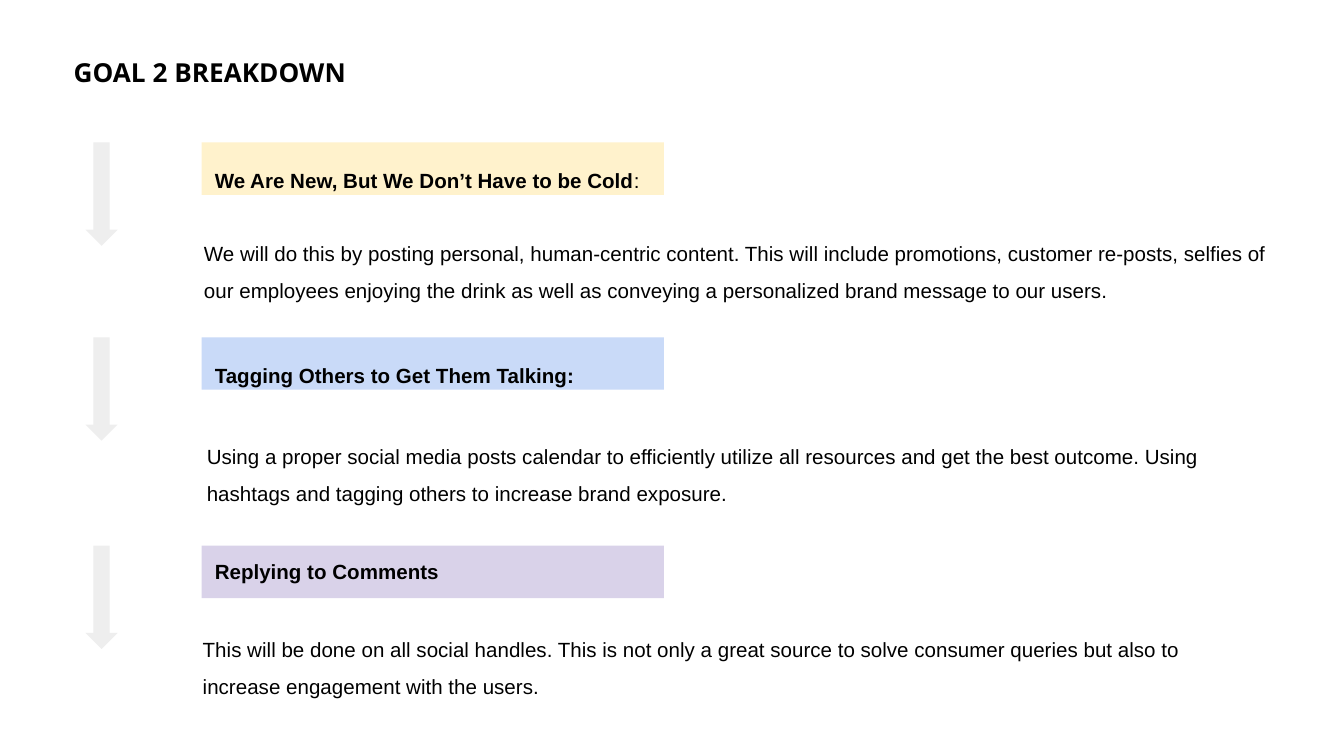
"""Build the Goal 2 breakdown slide: three steps with arrows, headings and text."""
import pptx
import pptx.util
import pptx.dml.color
import pptx.enum.shapes
import pptx.enum.text

Pt = pptx.util.Pt
RGB = pptx.dml.color.RGBColor.from_string
KIND = pptx.enum.shapes.MSO_SHAPE

THEME = {
    "ink": "000000",
    "arrow": "EEEEEE",
    "title": {"name": "Open Sans", "size": Pt(14), "bold": True},
    "head": {"name": "Arial", "size": Pt(11), "bold": True},
    "body": {"name": "Arial", "size": Pt(11), "bold": False},
}
TITLE = "GOAL 2 BREAKDOWN"
STEPS = [
    {"top": 76.3, "fill": "FFF2CC", "lead": 1.5,
     "head": [("We Are New, But We Don’t Have to be Cold", "head"), (":", "body")],
     "body": "We will do this by posting personal, human-centric content. This will include "
             "promotions, customer re-posts, selfies of our employees enjoying the drink as well "
             "as conveying a personalized brand message to our users.",
     "area": (102.2, 115.2, 597.6, 48.2)},
    {"top": 180.7, "fill": "C9DAF8", "lead": 1.5,
     "head": [("Tagging Others to Get Them Talking:", "head")],
     "body": "Using a proper social media posts calendar to efficiently utilize all resources "
             "and get the best outcome. Using hashtags and tagging others to increase brand "
             "exposure.",
     "area": (103.7, 223.9, 577.4, 108.7)},
    {"top": 292.3, "fill": "D9D2E9", "lead": 1,
     "head": [("Replying to Comments", "head")],
     "body": "This will be done on all social handles. This is not only a great source to solve "
             "consumer queries but also to increase engagement with the users.",
     "area": (101.5, 327.6, 582.5, 48.2)},
]
LEFT, WIDE, HIGH = 108, 247.7, 28.1
MID, LONG, THICK = 54.4, 55.4, 17.3


def write(shape, runs, lead=1):
    frame = shape.text_frame
    form = {"word_wrap": True, "vertical_anchor": pptx.enum.text.MSO_ANCHOR.TOP}
    form.update({"margin_" + side: Pt(7.2) for side in ("left", "top", "right", "bottom")})
    for key, value in form.items():
        setattr(frame, key, value)
    para = frame.paragraphs[0]
    para.alignment = pptx.enum.text.PP_ALIGN.LEFT
    para.line_spacing = float(lead)
    for text, style in runs:
        run = para.add_run()
        run.text = text
        run.font.color.rgb = RGB(THEME["ink"])
        for key, value in THEME[style].items():
            setattr(run.font, key, value)


def label(slide, area, text, style, lead=1):
    box = slide.shapes.add_textbox(*map(Pt, area))
    write(box, [(text, style)], lead)


def block(slide, kind, area, fill):
    shape = slide.shapes.add_shape(kind, *map(Pt, area))
    shape.shadow.inherit = False
    shape.fill.solid()
    shape.fill.fore_color.rgb = RGB(fill)
    shape.line.fill.background()
    return shape


def main():
    deck = pptx.Presentation()
    deck.slide_width, deck.slide_height = Pt(720), Pt(405)
    slide = deck.slides.add_slide(deck.slide_layouts[6])
    label(slide, (32.4, 23, 681.8, 31.7), TITLE, "title")
    for step in STEPS:
        top = step["top"]
        label(slide, step["area"], step["body"], "body", 1.5)
        head = block(slide, KIND.RECTANGLE, (LEFT, top, WIDE, HIGH), step["fill"])
        write(head, step["head"], step["lead"])
        spot = (MID - LONG / 2, top + (LONG - THICK) / 2, LONG, THICK)
        arrow = block(slide, KIND.RIGHT_ARROW, spot, THEME["arrow"])
        arrow.rotation = 90
    deck.save("out.pptx")


if __name__ == "__main__":
    main()
